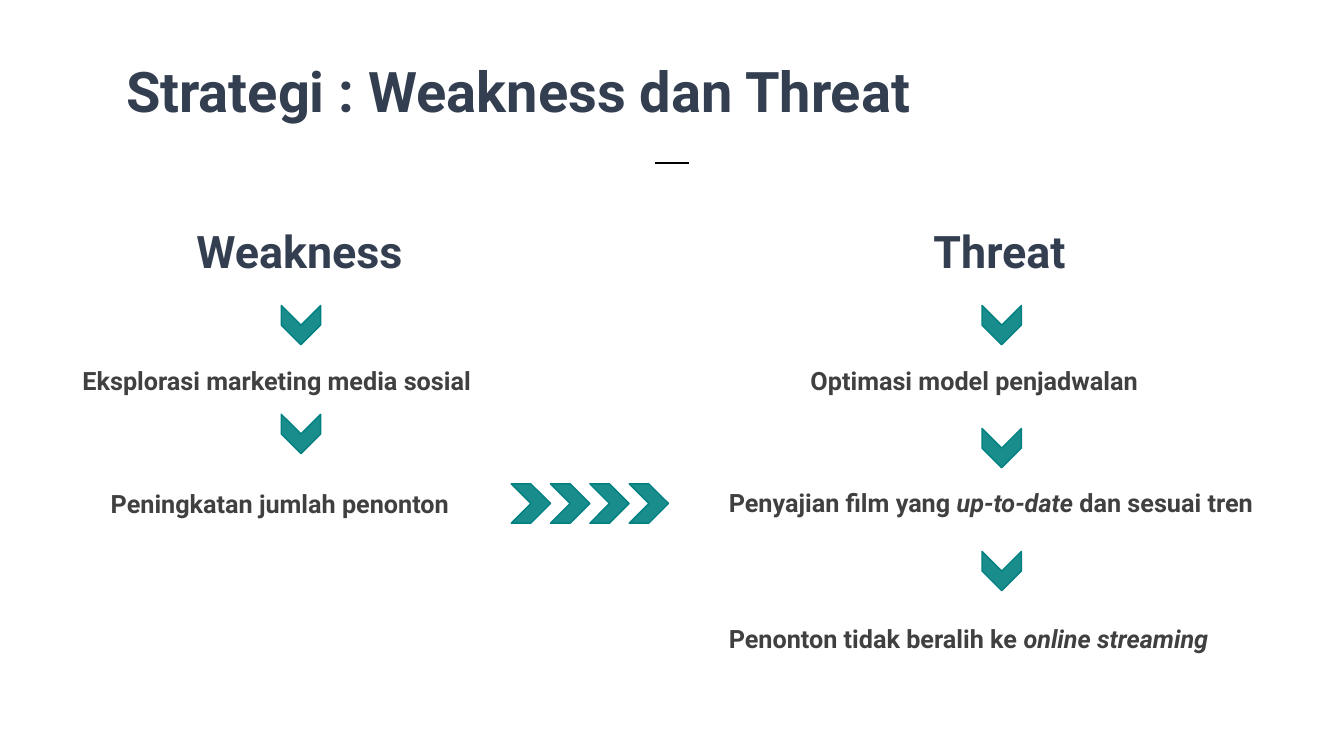
from dataclasses import dataclass

from lxml import etree
from pptx import Presentation
from pptx.dml.color import RGBColor
from pptx.enum.shapes import MSO_CONNECTOR, MSO_SHAPE
from pptx.enum.text import MSO_ANCHOR, MSO_AUTO_SIZE, PP_ALIGN
from pptx.oxml.ns import qn
from pptx.util import Inches, Pt

CHEVRON = MSO_SHAPE.CHEVRON
STRAIGHT = MSO_CONNECTOR.STRAIGHT
TOP = MSO_ANCHOR.TOP
LEFT = PP_ALIGN.LEFT
FIT = MSO_AUTO_SIZE.SHAPE_TO_FIT_TEXT


@dataclass(frozen=True)
class Theme:
    font: str = "Roboto"
    navy: RGBColor = RGBColor(0x33, 0x3F, 0x50)
    gray: RGBColor = RGBColor(0x40, 0x40, 0x40)
    teal: RGBColor = RGBColor(0x00, 0x80, 0x80)
    black: RGBColor = RGBColor(0, 0, 0)
    title: Pt = Pt(40)
    head: Pt = Pt(32)
    body: Pt = Pt(18)


THEME = Theme()
SIDE = 0.39

HEADS = [
    ("Weakness", (1.85, 2.17, 2.26, 0.64)),
    ("Threat", (9.16, 2.17, 1.55, 0.64)),
]
# Runs alternate between upright and italic.
ITEMS = [
    (["Eksplorasi marketing media sosial"], (0.72, 3.42, 4.53, 0.55), 1.5),
    (["Peningkatan jumlah penonton"], (1, 4.64, 3.97, 0.55), 1.5),
    (["Optimasi model penjadwalan"], (7.94, 3.42, 3.99, 0.55), 1.5),
    (["Penyajian film yang ", "up-to-date ", "dan sesuai tren"],
     (7.13, 4.79, 5.9, 0.4), 1),
    (["Penonton tidak beralih ke ", "online streaming"],
     (7.13, 6.13, 5.9, 0.4), 1),
]
STEPS = {2.79: (3.03, 4.11), 9.74: (3.03, 4.25, 5.47)}


def set_all(target, values):
    for name, value in values.items():
        setattr(target, name, value)


def write(shape, runs, size, color, space=1, wrap=True):
    """Fill a shape with one paragraph whose every second run is italic."""
    frame = shape.text_frame
    set_all(frame, {"word_wrap": wrap, "auto_size": FIT,
                    "vertical_anchor": TOP})
    para = frame.paragraphs[0]
    set_all(para, {"alignment": LEFT, "line_spacing": space})
    for order, text in enumerate(runs):
        run = para.add_run()
        run.text = text
        set_all(run.font, {"name": THEME.font, "size": size, "bold": True,
                           "italic": order % 2 == 1})
        run.font.color.rgb = color


def add_text(slide, box, *args, **kwargs):
    shape = slide.shapes.add_textbox(*map(Inches, box))
    write(shape, *args, **kwargs)


def add_title(slide, text):
    title = slide.shapes.title
    names = ("left", "top", "width", "height")
    set_all(title, dict(zip(names, map(Inches, (1.15, 0.51, 10.3, 0.77)))))
    write(title, [text], THEME.title, THEME.navy)


def add_rule(slide):
    ends = map(Inches, (6.5, 1.62, 6.83, 1.62))
    rule = slide.shapes.add_connector(STRAIGHT, *ends)
    rule.line.color.rgb = THEME.black
    rule.line.width = Pt(1.5)
    etree.SubElement(rule._element.spPr, qn("a:effectLst"))


def add_arrow(shapes, left, top, turn=0):
    arrow = shapes.add_shape(CHEVRON, *map(Inches, (left, top, SIDE, SIDE)))
    arrow.rotation = turn
    arrow.shadow.inherit = False
    arrow.fill.solid()
    arrow.fill.fore_color.rgb = THEME.teal
    tint = arrow._element.spPr.find(qn("a:solidFill"))[0]
    etree.SubElement(tint, qn("a:alpha"), val="90000")
    arrow.line.color.rgb = THEME.teal
    arrow.line.width = Pt(1)


def main():
    deck = Presentation()
    set_all(deck, {"slide_width": Inches(13.33), "slide_height": Inches(7.5)})
    slide = deck.slides.add_slide(deck.slide_layouts[5])
    add_rule(slide)
    add_title(slide, "Strategi : Weakness dan Threat")
    for text, box in HEADS:
        add_text(slide, box, [text], THEME.head, THEME.navy, wrap=False)
    for runs, box, space in ITEMS:
        add_text(slide, box, runs, THEME.body, THEME.gray, space=space)
    for left, tops in STEPS.items():
        for top in tops:
            add_arrow(slide.shapes, left, top, 90)
    group = slide.shapes.add_group_shape()
    for step in range(4):
        add_arrow(group.shapes, 5.07 + step * SIDE, 4.8)
    deck.save("out.pptx")


if __name__ == "__main__":
    main()
